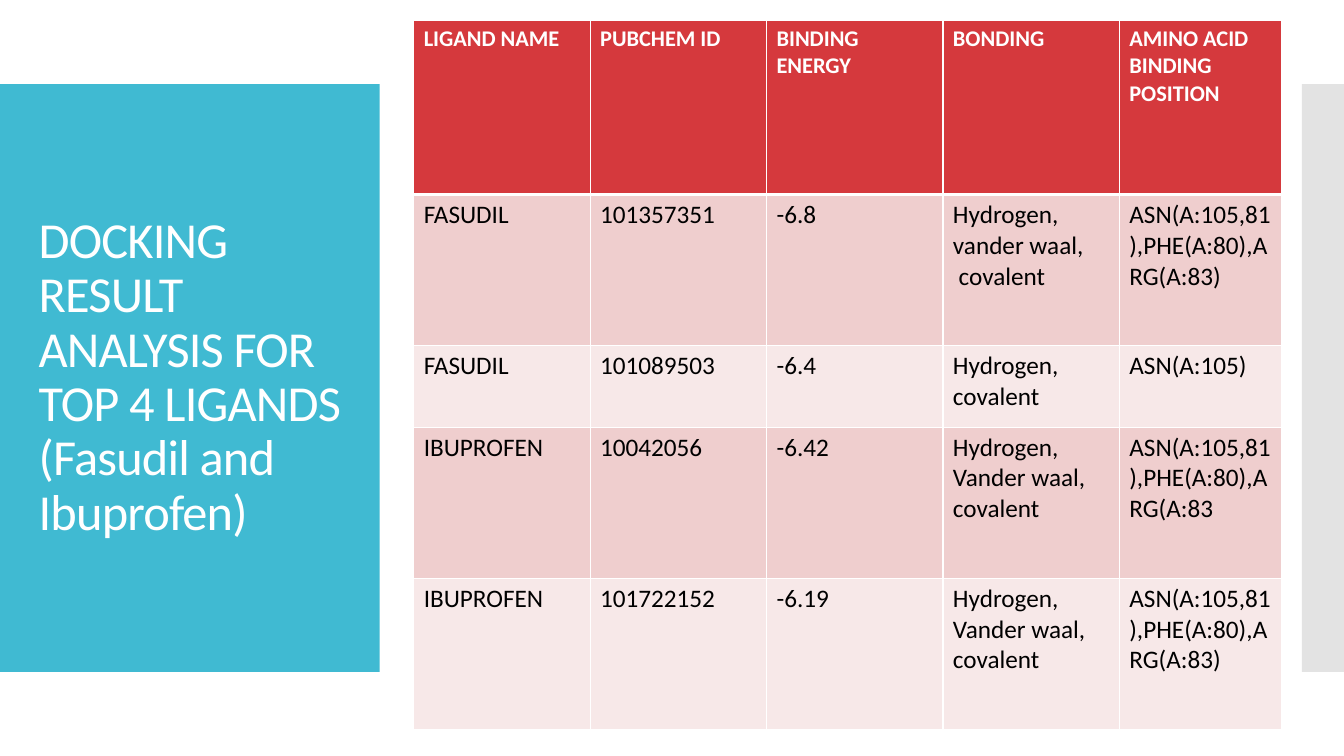
from dataclasses import dataclass

from pptx import Presentation
from pptx.dml.color import RGBColor
from pptx.enum.shapes import MSO_SHAPE
from pptx.enum.text import MSO_ANCHOR, MSO_AUTO_SIZE, PP_ALIGN
from pptx.oxml import parse_xml
from pptx.oxml.ns import nsdecls, qn
from pptx.util import Inches, Pt
from lxml.etree import SubElement


@dataclass(frozen=True)
class Theme:
    font: str = "Calibri"
    white: str = "FFFFFF"
    ink: str = "000000"
    teal: str = "40BAD2"
    gray: str = "C8C8C8"
    red: str = "D5393D"
    rose: str = "EFCECE"
    blush: str = "F7E8E8"
    title: int = 36
    head: int = 16
    body: int = 18
    thin: int = 1
    thick: int = 3


# The slide is a grid of 160 columns by 90 rows, 12 units to the inch
WIDE, HIGH = 160, 90


def grid(*units):
    return [Inches(unit / 12) for unit in units]


class Page:
    def __init__(self, deck, theme):
        self.theme = theme
        self.slide = deck.slides.add_slide(deck.slide_layouts[5])

    def style(self, para, size, color, bold=False):
        for run in para.runs:
            font = run.font
            font.name, font.size, font.bold = self.theme.font, Pt(size), bold
            font.color.rgb = RGBColor.from_string(color)

    def panel(self, box, color, alpha=None):
        shape = self.slide.shapes.add_shape(MSO_SHAPE.RECTANGLE, *grid(*box))
        shape.shadow.inherit = False
        shape.fill.solid()
        shape.fill.fore_color.rgb = RGBColor.from_string(color)
        shape.line.fill.background()
        if alpha:
            tint = next(shape.element.iter(qn("a:srgbClr")))
            SubElement(tint, qn("a:alpha")).set("val", str(alpha * 1000))

    def title(self, box, text):
        title = self.slide.shapes.title
        title.left, title.top, title.width, title.height = grid(*box)
        self.slide.shapes.element.append(title.element)  # above the panels
        frame = title.text_frame
        frame.text = text
        frame.word_wrap = True
        frame.auto_size = MSO_AUTO_SIZE.NONE
        frame.vertical_anchor = MSO_ANCHOR.MIDDLE
        para = frame.paragraphs[0]
        para.alignment = PP_ALIGN.LEFT
        para.line_spacing = 0.9
        self.style(para, self.theme.title, self.theme.white)
        para.runs[0].font.element.set("spc", "-60") if hasattr(
            para.runs[0].font, "element") else para.runs[0]._r.get_or_add_rPr().set("spc", "-60")

    def edge(self, cell, side, width):
        cell._tc.get_or_add_tcPr().append(parse_xml(
            f'<a:ln{side} {nsdecls("a")} w="{Pt(width)}"><a:solidFill>'
            f'<a:srgbClr val="{self.theme.white}"/></a:solidFill></a:ln{side}>'))

    def cell(self, cell, text, row):
        look = self.theme
        head = row == 0
        heavy = {(0, "B"), (1, "T")}
        for side in "LRTB":
            self.edge(cell, side, look.thick if (row, side) in heavy else look.thin)
        cell.fill.solid()
        fill = look.red if head else look.rose if row % 2 else look.blush
        cell.fill.fore_color.rgb = RGBColor.from_string(fill)
        cell.text_frame.text = text
        for para in cell.text_frame.paragraphs:
            self.style(para, look.head if head else look.body,
                       look.white if head else look.ink, head)

    def table(self, spot, cols, rows, data):
        box = grid(*spot, sum(cols), sum(rows))
        table = self.slide.shapes.add_table(len(rows), len(cols), *box).table
        for col, width in zip(table.columns, grid(*cols)):
            col.width = width
        for row, height in zip(table.rows, grid(*rows)):
            row.height = height
        for r, line in enumerate(data):
            for c, text in enumerate(line):
                self.cell(table.cell(r, c), text, r)


SITES = "ASN(A:105,81),PHE(A:80),ARG(A:83)"
BONDS = "Hydrogen,\nVander waal, covalent"
DATA = [
    ("LIGAND NAME", "PUBCHEM ID", "BINDING ENERGY", "BONDING",
     "AMINO ACID BINDING POSITION"),
    ("FASUDIL", "101357351", "-6.8", "Hydrogen, vander waal,\n covalent", SITES),
    ("FASUDIL", "101089503", "-6.4", "Hydrogen,\ncovalent", "ASN(A:105)"),
    ("IBUPROFEN", "10042056", "-6.42", BONDS, "ASN(A:105,81),PHE(A:80),ARG(A:83"),
    ("IBUPROFEN", "101722152", "-6.19", BONDS, SITES),
]


def main():
    deck = Presentation()
    deck.slide_width, deck.slide_height = grid(WIDE, HIGH)
    theme = Theme()
    page = Page(deck, theme)

    # Side panels
    page.panel((0, 10, 45.2, 70), theme.teal)
    page.panel((WIDE - 5, 10, 5, 70), theme.gray, alpha=50)

    # Title
    page.title((3.4, 14.8, 38.6, 60.4),
               "DOCKING RESULT ANALYSIS FOR TOP 4 LIGANDS (Fasudil and Ibuprofen)")

    # Docking results
    page.table((49.25, 2.4), [21] * 4 + [19.3], [20.75, 18, 9.7, 18, 18], DATA)

    deck.save("out.pptx")


if __name__ == "__main__":
    main()
